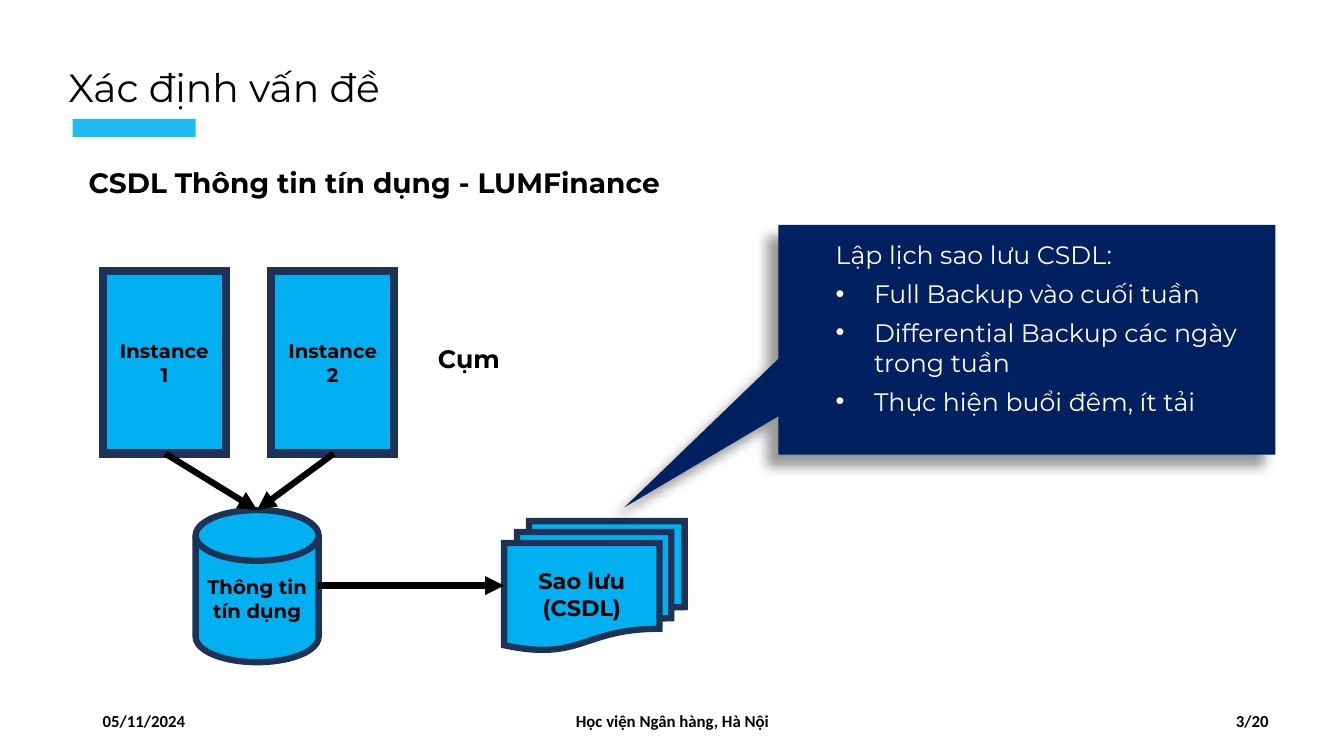
from lxml.etree import SubElement
from pptx import Presentation
from pptx.dml.color import RGBColor
from pptx.enum.shapes import MSO_CONNECTOR, MSO_SHAPE
from pptx.enum.text import MSO_ANCHOR, PP_ALIGN
from pptx.oxml.ns import qn
from pptx.util import Inches, Pt

COLORS = {
    "black": "000000",
    "white": "FFFFFF",
    "cyan": "00B0F0",
    "border": "1E3256",
    "navy": "002060",
}
HEADING_FONT = "Montserrat"
FOOTER_FONT = "Calibri"


def color(name):
    return RGBColor.from_string(COLORS[name])


def write(shape, lines, size, font=HEADING_FONT, tone="black", bold=True,
          align=PP_ALIGN.LEFT, anchor=MSO_ANCHOR.TOP, spacing=0, bullets=False):
    frame = shape.text_frame
    frame.word_wrap = True
    frame.vertical_anchor = anchor
    for index, line in enumerate(lines):
        paragraph = frame.add_paragraph() if index else frame.paragraphs[0]
        paragraph.text = line
        paragraph.alignment = align
        if index:
            paragraph.space_before = Pt(spacing)
        paragraph.space_after = Pt(spacing)
        if bullets and index:
            add_bullet(paragraph)
        for run in paragraph.runs:
            run.font.name = font
            run.font.size = Pt(size)
            run.font.bold = bold
            run.font.color.rgb = color(tone)


def add_bullet(paragraph):
    properties = paragraph._p.get_or_add_pPr()
    properties.set("marL", str(Inches(0.38)))
    properties.set("indent", str(Inches(-0.38)))
    SubElement(properties, qn("a:buFont"), typeface="Arial")
    SubElement(properties, qn("a:buChar"), char="•")


def add_text(slide, left, top, width, height, lines, size, **style):
    box = slide.shapes.add_textbox(Inches(left), Inches(top), Inches(width), Inches(height))
    write(box, lines, size, **style)


def add_shape(slide, kind, left, top, width, height, fill):
    shape = slide.shapes.add_shape(kind, Inches(left), Inches(top), Inches(width), Inches(height))
    shape.shadow.inherit = False
    shape.fill.solid()
    shape.fill.fore_color.rgb = color(fill)
    shape.line.fill.background()
    return shape


def add_node(slide, kind, left, top, width, height, lines, size, border=4.5):
    node = add_shape(slide, kind, left, top, width, height, "cyan")
    node.line.color.rgb = color("border")
    node.line.width = Pt(border)
    SubElement(node.line._get_or_add_ln(), qn("a:miter"), lim="800000")
    write(node, lines, size, align=PP_ALIGN.CENTER, anchor=MSO_ANCHOR.MIDDLE)


def add_arrow(slide, start, end):
    points = [Inches(value) for value in (*start, *end)]
    arrow = slide.shapes.add_connector(MSO_CONNECTOR.STRAIGHT, *points)
    arrow.line.color.rgb = color("black")
    arrow.line.width = Pt(4.5)
    SubElement(arrow.line._get_or_add_ln(), qn("a:tailEnd"), type="triangle")
    SubElement(arrow._element.spPr, qn("a:effectLst"))


def add_accent_bar(slide):
    bar = add_shape(slide, MSO_SHAPE.RECTANGLE, 0.72, 1.18, 1.22, 0.18, "cyan")
    fill_color = bar._element.spPr.find(qn("a:solidFill")).find(qn("a:srgbClr"))
    SubElement(fill_color, qn("a:alpha"), val="88000")


def add_callout(slide, lines):
    callout = add_shape(slide, MSO_SHAPE.RECTANGULAR_CALLOUT, 7.72, 2.23, 4.93, 2.28, "navy")
    callout.adjustments[0] = -0.81
    callout.adjustments[1] = 0.73
    effects = callout._element.spPr.find(qn("a:effectLst"))
    shadow = SubElement(effects, qn("a:outerShdw"), blurRad=str(Pt(9)), dist=str(Pt(12)),
                        dir=str(135 * 60000), algn="tr", rotWithShape="0")
    shade = SubElement(shadow, qn("a:srgbClr"), val=COLORS["black"])
    SubElement(shade, qn("a:alpha"), val="40000")
    add_text(slide, 8.19, 2.33, 4.22, 2.17, lines, 18, tone="white", bold=False,
             spacing=3, bullets=True)


def add_footer(slide):
    for left, width, text, align in (
        (0.92, 3, "05/11/2024", PP_ALIGN.LEFT),
        (4.42, 4.5, "Học viện Ngân hàng, Hà Nội", PP_ALIGN.CENTER),
        (11.52, 1.8, "3/20", PP_ALIGN.CENTER),
    ):
        add_text(slide, left, 6.95, width, 0.4, [text], 12, font=FOOTER_FONT,
                 align=align, anchor=MSO_ANCHOR.MIDDLE)


def add_diagram(slide):
    database_top = (2.55, 5.06)
    add_node(slide, MSO_SHAPE.FLOWCHART_MAGNETIC_DISK, 1.94, 5.06, 1.22, 1.51,
             ["Thông tin tín dụng"], 14)
    add_node(slide, MSO_SHAPE.FLOWCHART_MULTIDOCUMENT, 5, 5.17, 1.79, 1.28,
             ["Sao lưu", "(CSDL)"], 16)
    add_arrow(slide, (3.15, 5.81), (5, 5.81))
    instances = ((1.02, "1"), (2.69, "2"))
    for left, number in instances:
        add_node(slide, MSO_SHAPE.FLOWCHART_PROCESS, left, 2.69, 1.22, 1.81,
                 ["Instance", number], 14, border=6)
    for left, _ in instances:
        add_arrow(slide, (left + 0.62, 4.5), database_top)
    add_text(slide, 3.79, 3.36, 1.72, 0.4, ["Cụm"], 18, align=PP_ALIGN.CENTER)


def main():
    presentation = Presentation()
    presentation.slide_width = Inches(13.33)
    presentation.slide_height = Inches(7.5)
    slide = presentation.slides.add_slide(presentation.slide_layouts[6])
    add_text(slide, 0.58, 0.58, 3.34, 0.57, ["Xác định vấn đề"], 28, bold=False)
    add_accent_bar(slide)
    add_text(slide, 0.78, 1.59, 6, 0.44, ["CSDL Thông tin tín dụng - LUMFinance"], 20)
    add_diagram(slide)
    add_callout(slide, [
        "Lập lịch sao lưu CSDL:",
        "Full Backup vào cuối tuần",
        "Differential Backup các ngày trong tuần",
        "Thực hiện buổi đêm, ít tải",
    ])
    add_footer(slide)
    presentation.save("out.pptx")


if __name__ == "__main__":
    main()
